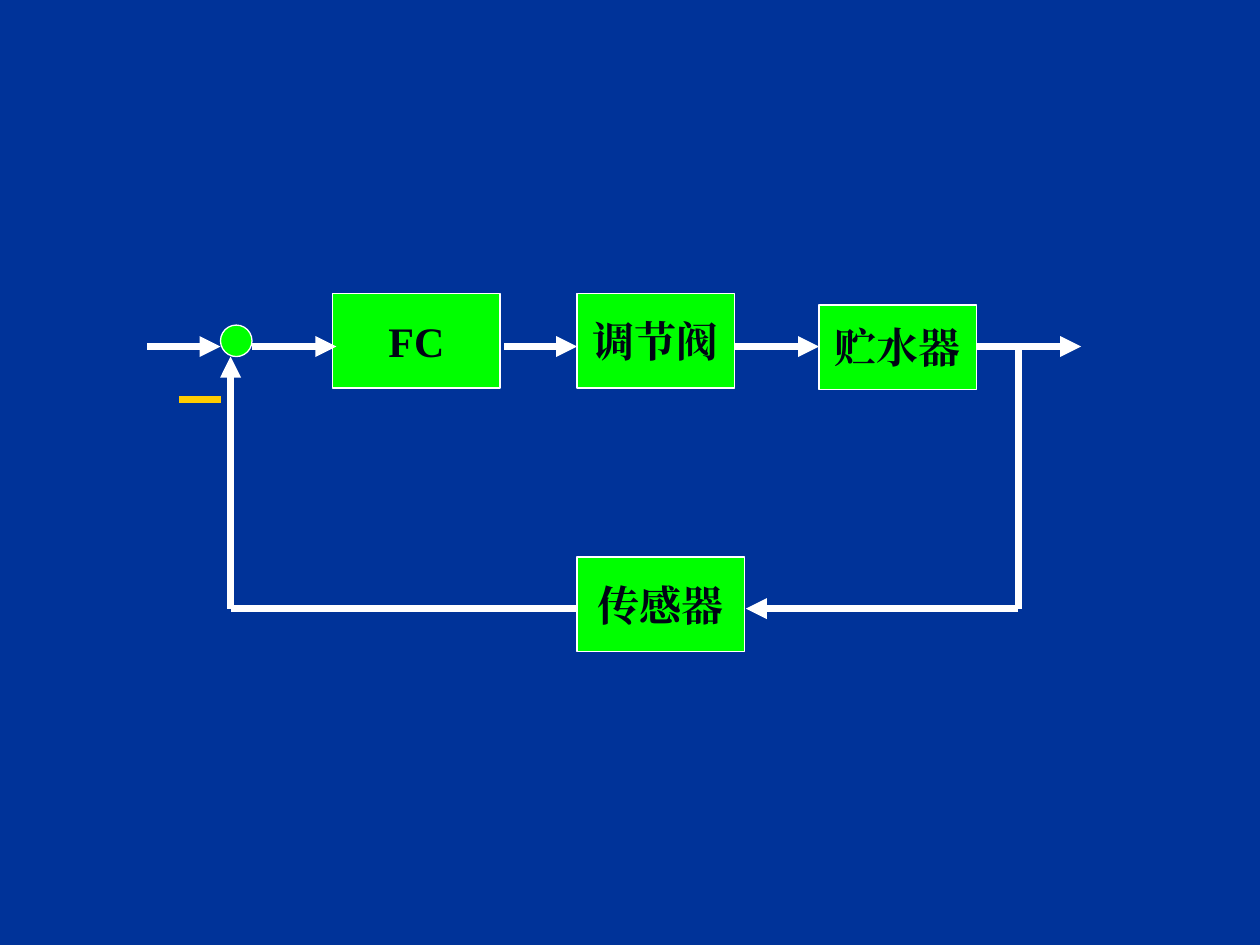
"""Build a slide with the block diagram of a level control loop."""
from lxml.etree import SubElement
from pptx import Presentation
from pptx.dml.color import RGBColor
from pptx.enum.shapes import MSO_CONNECTOR, MSO_SHAPE
from pptx.enum.text import MSO_ANCHOR, PP_ALIGN
from pptx.oxml.ns import qn
from pptx.util import Inches, Pt

BLUE, GREEN, WHITE, INK, GOLD = "003399", "00FF00", "FFFFFF", "000514", "FFCC00"
FORWARD_Y, FEEDBACK_Y = 2.75, 4.83
SUM_X, TAP_X = 1.83, 8.08

BLOCKS = [
    ("FC", 2.64, 2.33, 1.33, 0.75),
    ("调节阀", 4.58, 2.33, 1.25, 0.75),
    ("贮水器", 6.5, 2.42, 1.25, 0.67),
    ("传感器", 4.58, 4.42, 1.33, 0.75),
]
FORWARD_ARROWS = [(1.17, 1.75), (2, 2.67), (4, 4.58), (5.83, 6.5), (7.75, 8.58)]


def color(value):
    """Turn a hex string into a colour."""
    return RGBColor.from_string(value)


def add_node(page, kind, left, top, width, height):
    """Add a green shape with a thin white outline."""
    node = page.shapes.add_shape(
        kind, Inches(left), Inches(top), Inches(width), Inches(height))
    node.shadow.inherit = False
    node.fill.solid()
    node.fill.fore_color.rgb = color(GREEN)
    node.line.color.rgb = color(WHITE)
    node.line.width = Pt(0.75)
    return node


def add_block(page, label, left, top, width, height):
    """Add a labelled rectangle."""
    frame = add_node(page, MSO_SHAPE.RECTANGLE, left, top, width, height).text_frame
    frame.word_wrap = False
    frame.vertical_anchor = MSO_ANCHOR.MIDDLE
    paragraph = frame.paragraphs[0]
    paragraph.alignment = PP_ALIGN.CENTER
    span = paragraph.add_run()
    span.text = label
    span.font.color.rgb = color(INK)
    for name, value in {"size": Pt(24), "bold": True, "name": "Times New Roman"}.items():
        setattr(span.font, name, value)
    SubElement(span.font._element, qn("a:ea"), typeface="Times New Roman")


def add_line(page, start, end, arrow=False, stroke=WHITE):
    """Add a thick straight line, with an arrowhead at its end if asked."""
    line = page.shapes.add_connector(
        MSO_CONNECTOR.STRAIGHT, *(Inches(value) for value in (*start, *end)))
    line.line.color.rgb = color(stroke)
    line.line.width = Pt(4)
    if arrow:
        SubElement(line.line._get_or_add_ln(), qn("a:tailEnd"), type="triangle")
    SubElement(line._element.spPr, qn("a:effectLst"))


def main():
    """Build and save the deck."""
    deck = Presentation()
    deck.slide_width, deck.slide_height = Inches(10), Inches(7.5)
    page = deck.slides.add_slide(deck.slide_layouts[6])
    page.background.fill.solid()
    page.background.fill.fore_color.rgb = color(BLUE)

    for block in BLOCKS:
        add_block(page, *block)
    add_node(page, MSO_SHAPE.OVAL, 1.75, 2.58, 0.25, 0.25)

    for start, end in FORWARD_ARROWS:
        add_line(page, (start, FORWARD_Y), (end, FORWARD_Y), arrow=True)
    add_line(page, (TAP_X, FORWARD_Y), (TAP_X, FEEDBACK_Y))
    add_line(page, (TAP_X, FEEDBACK_Y), (5.92, FEEDBACK_Y), arrow=True)
    add_line(page, (4.58, FEEDBACK_Y), (SUM_X, FEEDBACK_Y))
    add_line(page, (SUM_X, FEEDBACK_Y), (SUM_X, 2.83), arrow=True)
    add_line(page, (1.42, 3.17), (1.75, 3.17), stroke=GOLD)
    deck.save("out.pptx")


if __name__ == "__main__":
    main()
